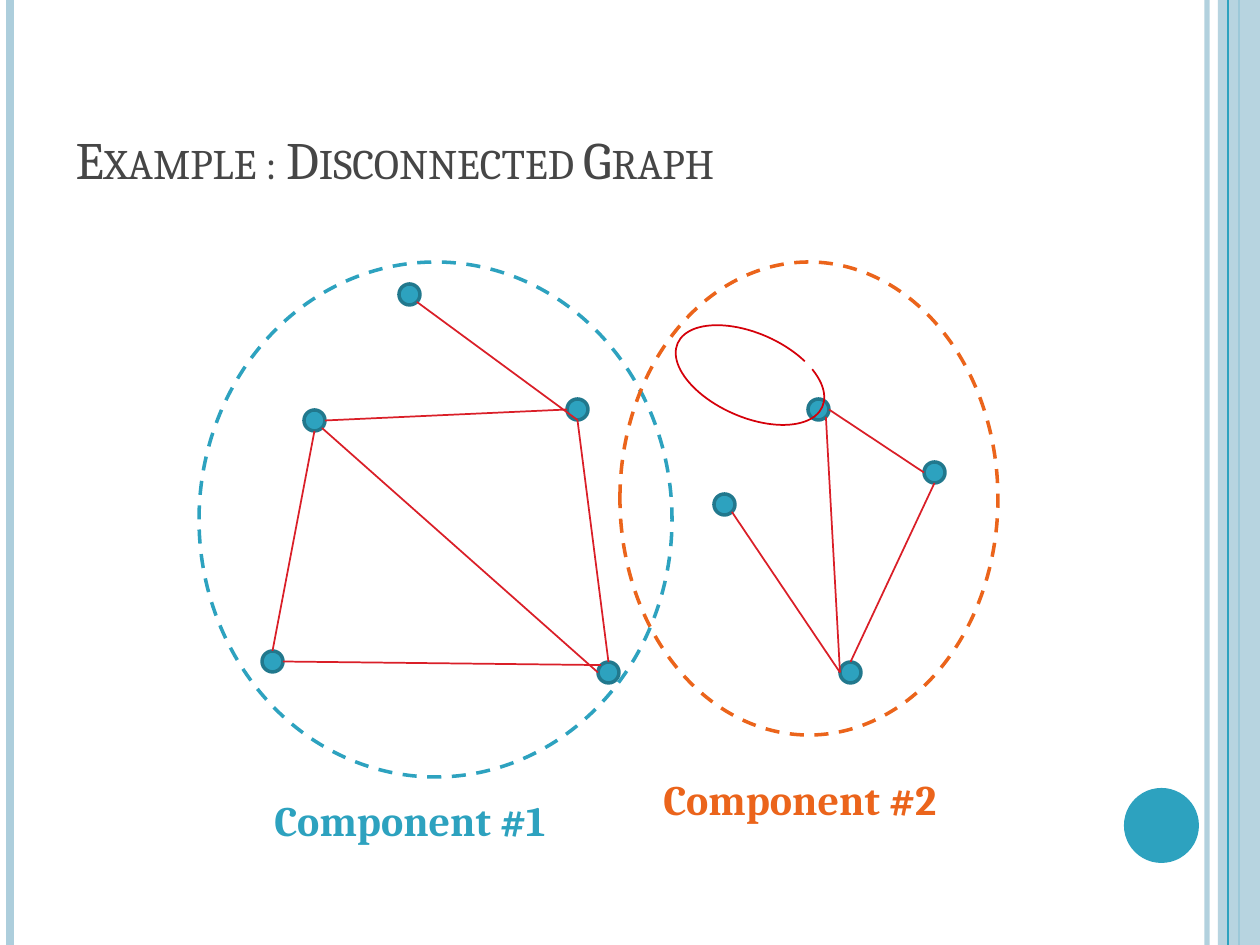
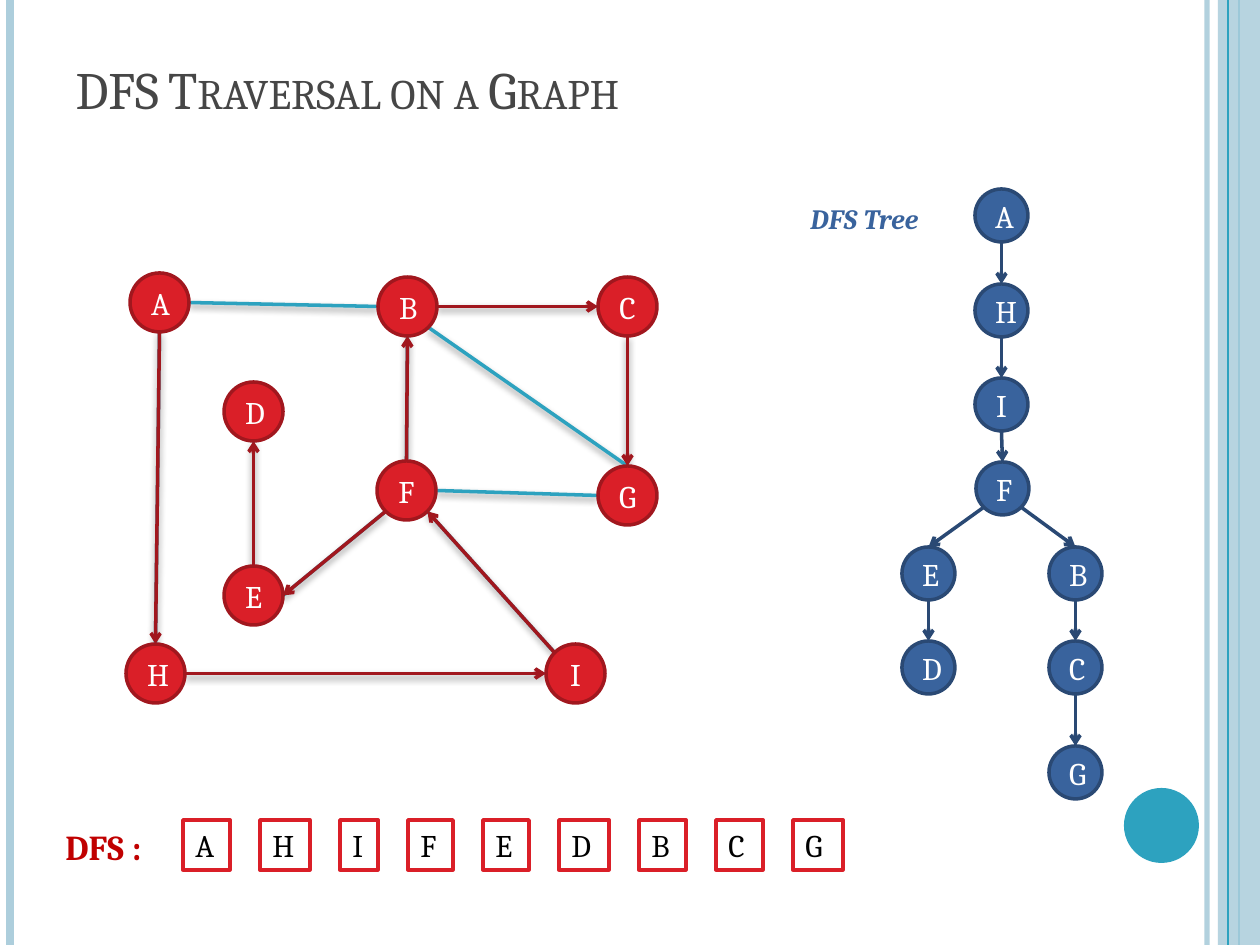
import lxml.etree
import pptx
import pptx.dml.color
import pptx.enum.dml
import pptx.enum.shapes
import pptx.enum.text
import pptx.oxml.ns
import pptx.util

RGB = pptx.dml.color.RGBColor
SHAPES = pptx.enum.shapes.MSO_SHAPE
ALIGN = pptx.enum.text.PP_ALIGN
ANCHOR = pptx.enum.text.MSO_ANCHOR
AUTO_SIZE = pptx.enum.text.MSO_AUTO_SIZE
Pt = pptx.util.Pt
qn = pptx.oxml.ns.qn

PX = 914400 / 126
SLIDE_WIDTH, SLIDE_HEIGHT = 1260, 945

TEAL = RGB(0x2D, 0xA2, 0xBF)
DARK_TEAL = RGB(0x21, 0x78, 0x8D)
PALE_BLUE = RGB(0xAD, 0xCE, 0xDC)
RED = RGB(0xDA, 0x1F, 0x28)
DARK_RED = RGB(0xA1, 0x17, 0x1E)
LOOP_RED = RGB(0xD5, 0x00, 0x0A)
LABEL_RED = RGB(0xC0, 0x00, 0x00)
ORANGE = RGB(0xEB, 0x64, 0x1B)
BLUE = RGB(0x39, 0x63, 0x9D)
DARK_BLUE = RGB(0x2A, 0x49, 0x74)
GREY = RGB(0x46, 0x46, 0x46)
WHITE = RGB(0xFF, 0xFF, 0xFF)
BLACK = RGB(0x00, 0x00, 0x00)

TITLE_FONT = {"name": "Cambria", "size": Pt(30)}
LETTER_FONT = {"name": "Cambria", "size": Pt(18)}
COMPONENT_FONT = {"name": "Cambria", "size": Pt(24), "bold": True}
ORDER_FONT = {"name": "Cambria", "size": Pt(20), "bold": True}
TREE_FONT = {"name": "Cambria", "size": Pt(16), "bold": True, "italic": True}

RULES = [
    (1207, PALE_BLUE, 3, 93),
    (10, PALE_BLUE, 4.5, 100),
    (1239, TEAL, 1.5, 100),
    (1228, TEAL, 0.75, 100),
]
BAND = (1218, 0, 42, SLIDE_HEIGHT)
BADGE = (1124, 788, 75, 75)

DOT_SIZE = 21
DOTS = {
    "top": (399, 284), "left": (304, 410), "right": (567, 399),
    "low left": (262, 651), "low right": (598, 662),
    "hub": (808, 399), "east": (924, 462), "west": (714, 494), "bottom": (840, 662),
}
DOT_EDGES = [
    ("left", "S", "low left", "N"), ("right", "S", "low right", "N"),
    ("left", "E", "right", "W"), ("low left", "E", "low right", "NW"),
    ("left", "SE", "low right", "W"), ("top", "SE", "right", "S"),
    ("east", "S", "bottom", "N"), ("hub", "E", "east", "W"),
    ("hub", "SE", "bottom", "W"), ("west", "SE", "bottom", "W"),
]
LOOP = {"box": (708, 296, 84, 158), "rotation": 293.7, "angles": (60.96, 52.27)}
COMPONENTS = [
    ("Component #1", TEAL, (199, 262, 473, 515), (262, 788, 362, 63)),
    ("Component #2", ORANGE, (620, 262, 378, 473), (651, 767, 362, 63)),
]

GRAPH_SIZE = 59
GRAPH = {
    "A": (130, 273), "B": (378, 277), "C": (598, 277),
    "D": (224, 382), "E": (224, 566), "F": (377, 461),
    "G": (598, 466), "H": (126, 644), "I": (546, 644),
}
VISITED_EDGES = [
    ("A", "S", "H", "N"), ("H", "E", "I", "W"), ("I", "NW", "F", "SE"),
    ("F", "SW", "E", "E"), ("E", "N", "D", "S"), ("F", "N", "B", "S"),
    ("B", "E", "C", "W"), ("C", "S", "G", "N"),
]
UNUSED_EDGES = [("F", "E", "G", "W"), ("B", "SE", "G", "N"), ("A", "E", "B", "W")]

TREE_SIZE = 53
TREE = {
    "A": (975, 189), "H": (975, 284), "I": (975, 378), "F": (976, 462),
    "E": (902, 547), "D": (902, 641),
    "B": (1049, 547), "C": (1049, 641), "G": (1049, 746),
}
TREE_EDGES = [
    ("A", "S", "H", "N"), ("H", "S", "I", "N"), ("I", "S", "F", "N"),
    ("F", "SW", "E", "N"), ("E", "S", "D", "N"),
    ("F", "SE", "B", "N"), ("B", "S", "C", "N"), ("C", "S", "G", "N"),
]
ORDER_WIDTHS = [
    ("A", 47), ("H", 50), ("I", 38), ("F", 45), ("E", 46),
    ("D", 50), ("B", 47), ("C", 47), ("G", 50),
]
ORDER_LEFT, ORDER_TOP, ORDER_HEIGHT, ORDER_GAP = 183, 820, 50, 30

DIAGONAL = 0.5 ** 0.5
COMPASS = {
    "N": (0, -1), "E": (1, 0), "S": (0, 1), "W": (-1, 0),
    "NW": (-DIAGONAL, -DIAGONAL), "SE": (DIAGONAL, DIAGONAL), "SW": (-DIAGONAL, DIAGONAL),
}


def emu(*lengths):
    return [round(length * PX) for length in lengths]


def write(shape, text, font_format, color, align=ALIGN.LEFT):
    paragraph = shape.text_frame.paragraphs[0]
    paragraph.alignment = align
    run = paragraph.add_run()
    run.text = text
    for name, value in font_format.items():
        setattr(run.font, name, value)
    run.font.color.rgb = color


def add_shape(slide, kind, box, fill=None, line=None, width=2):
    shape = slide.shapes.add_shape(kind, *emu(*box))
    shape.shadow.inherit = False
    if fill is None:
        shape.fill.background()
    else:
        shape.fill.solid()
        shape.fill.fore_color.rgb = fill
    if line is None:
        shape.line.fill.background()
    else:
        shape.line.color.rgb = line
        shape.line.width = Pt(width)
    return shape


def add_line(slide, start, end, color, width, arrow=False, shadow=False):
    connector = slide.shapes.add_connector(
        pptx.enum.shapes.MSO_CONNECTOR.STRAIGHT, *emu(*start, *end))
    connector.line.color.rgb = color
    connector.line.width = Pt(width)
    properties = connector.element.spPr
    if arrow:
        lxml.etree.SubElement(properties.find(qn("a:ln")), qn("a:tailEnd"), type="arrow")
    effects = lxml.etree.SubElement(properties, qn("a:effectLst"))
    if shadow:
        outer = lxml.etree.SubElement(
            effects, qn("a:outerShdw"), blurRad=str(Pt(4)), dist=str(Pt(2)),
            dir="5400000", rotWithShape="0")
        black = lxml.etree.SubElement(outer, qn("a:srgbClr"), val="000000")
        lxml.etree.SubElement(black, qn("a:alpha"), val="40000")
    return connector


def set_opacity(shape, percent):
    color = shape.element.spPr.xpath(".//a:srgbClr")[0]
    lxml.etree.SubElement(color, qn("a:alpha"), val=str(percent * 1000))


def add_label(slide, text, box, font_format, color):
    label = slide.shapes.add_textbox(*emu(*box))
    label.text_frame.word_wrap = False
    label.text_frame.auto_size = AUTO_SIZE.SHAPE_TO_FIT_TEXT
    write(label, text, font_format, color)


def add_nodes(slide, nodes, size, fill, line, lettered=True):
    for name, (left, top) in nodes.items():
        node = add_shape(slide, SHAPES.OVAL, (left, top, size, size), fill, line)
        if lettered:
            node.text_frame.vertical_anchor = ANCHOR.MIDDLE
            write(node, name, LETTER_FONT, WHITE, ALIGN.CENTER)


def add_edges(slide, edges, nodes, size, color, width=2, **style):
    def site(name, side):
        return [corner + size / 2 * (1 + step)
                for corner, step in zip(nodes[name], COMPASS[side])]

    for source, source_side, target, target_side in edges:
        add_line(slide, site(source, source_side), site(target, target_side),
                 color, width, **style)


def decorate_layout(layout, slide):
    lines = []
    for x, color, width, opacity in RULES:
        line = add_line(slide, (x, 0), (x, SLIDE_HEIGHT), color, width)
        if opacity < 100:
            set_opacity(line, opacity)
        lines.append(line)
    band = add_shape(slide, SHAPES.RECTANGLE, BAND, PALE_BLUE)
    set_opacity(band, 87)
    badge = add_shape(slide, SHAPES.OVAL, BADGE, TEAL)
    for number, shape in enumerate([*lines[:3], band, lines[3], badge], 100):
        shape.element.xpath(".//p:cNvPr")[0].set("id", str(number))
        layout.shapes.element.append(shape.element)


def add_slide(presentation, layout, title_text, title_height):
    slide = presentation.slides.add_slide(layout)
    title = slide.shapes.title
    title.left, title.top, title.width, title.height = emu(63, 38, 1029, title_height)
    title.text_frame.vertical_anchor = ANCHOR.BOTTOM
    title.text_frame.auto_size = AUTO_SIZE.NONE
    write(title, title_text, TITLE_FONT, GREY)
    title.element.xpath(".//a:rPr")[0].set("cap", "small")
    return slide


def build_disconnected_graph(slide):
    add_nodes(slide, DOTS, DOT_SIZE, TEAL, DARK_TEAL, lettered=False)
    add_edges(slide, DOT_EDGES, DOTS, DOT_SIZE, RED, 1)
    loop = add_shape(slide, SHAPES.ARC, LOOP["box"], line=LOOP_RED, width=1)
    loop.rotation = LOOP["rotation"]
    for index, degrees in enumerate(LOOP["angles"]):
        loop.adjustments[index] = degrees * 0.6
    for text, color, outline_box, label_box in COMPONENTS:
        outline = add_shape(slide, SHAPES.OVAL, outline_box, line=color)
        outline.line.dash_style = pptx.enum.dml.MSO_LINE.DASH
        add_label(slide, text, label_box, COMPONENT_FONT, color)


def build_traversal(slide):
    add_edges(slide, VISITED_EDGES + UNUSED_EDGES, GRAPH, GRAPH_SIZE, TEAL, shadow=True)
    add_nodes(slide, GRAPH, GRAPH_SIZE, RED, DARK_RED)
    add_edges(slide, VISITED_EDGES, GRAPH, GRAPH_SIZE, DARK_RED, arrow=True)

    add_label(slide, "DFS :", (53, 819, 125, 55), ORDER_FONT, LABEL_RED)
    left = ORDER_LEFT
    for letter, width in ORDER_WIDTHS:
        box = add_shape(slide, SHAPES.RECTANGLE,
                        (left, ORDER_TOP, width, ORDER_HEIGHT), WHITE, RED)
        box.text_frame.word_wrap = False
        box.text_frame.auto_size = AUTO_SIZE.SHAPE_TO_FIT_TEXT
        box.text_frame.vertical_anchor = ANCHOR.TOP
        write(box, letter, LETTER_FONT, BLACK)
        left += width + ORDER_GAP

    add_nodes(slide, TREE, TREE_SIZE, BLUE, DARK_BLUE)
    add_edges(slide, TREE_EDGES, TREE, TREE_SIZE, DARK_BLUE, arrow=True)
    add_label(slide, "DFS Tree", (798, 195, 158, 47), TREE_FONT, BLUE)


def main():
    presentation = pptx.Presentation()
    presentation.slide_width, presentation.slide_height = emu(SLIDE_WIDTH, SLIDE_HEIGHT)
    layout = presentation.slide_layouts.get_by_name("Title Only")
    graph_slide = add_slide(presentation, layout, "Example : Disconnected Graph", 158)
    decorate_layout(layout, graph_slide)
    build_disconnected_graph(graph_slide)
    build_traversal(add_slide(presentation, layout, "DFS Traversal on a Graph", 88))
    presentation.save("out.pptx")


if __name__ == "__main__":
    main()
